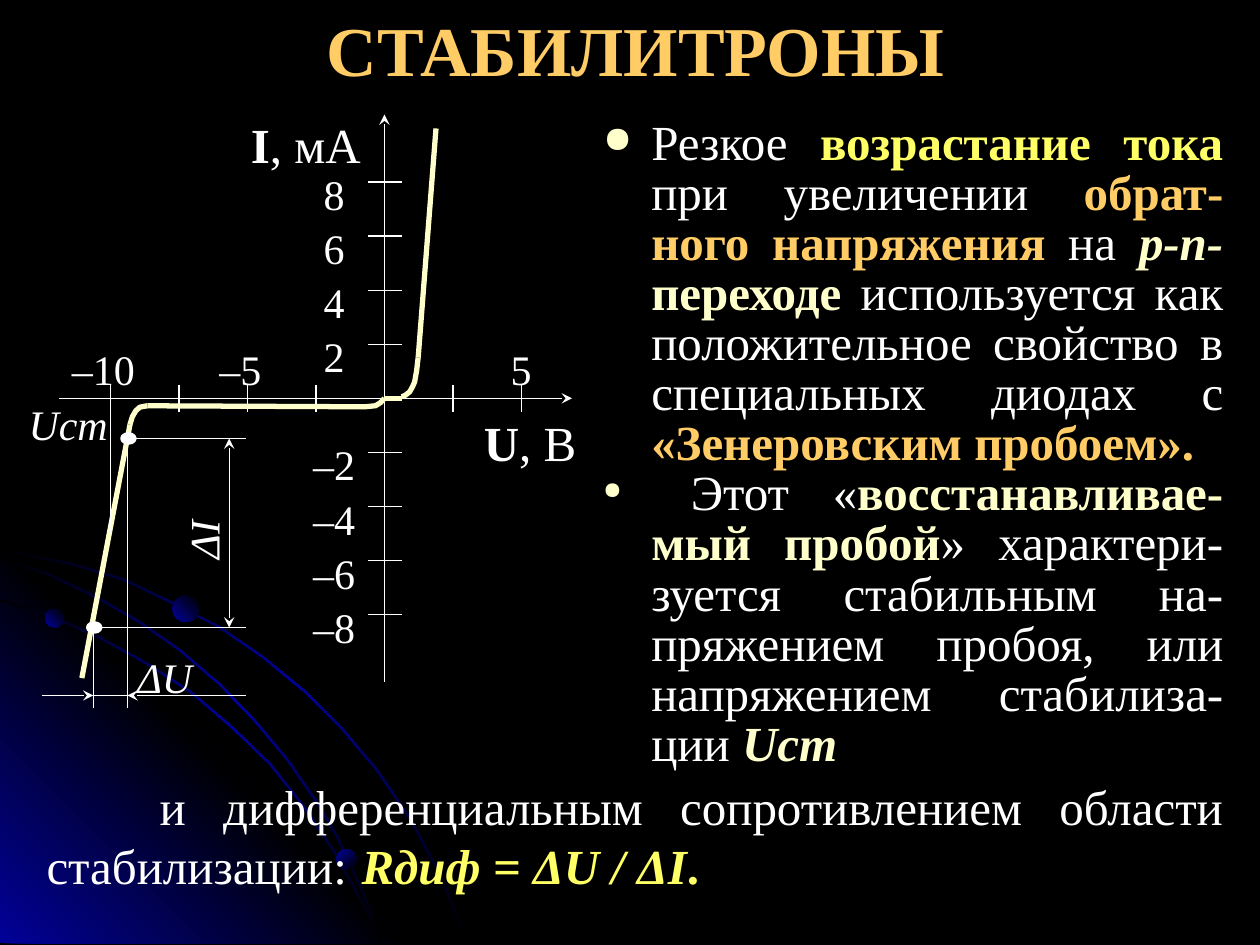
from copy import deepcopy
from dataclasses import dataclass

from lxml import etree
from pptx import Presentation
from pptx.dml.color import RGBColor
from pptx.enum.shapes import MSO_CONNECTOR, MSO_SHAPE
from pptx.enum.text import PP_ALIGN
from pptx.oxml.ns import qn
from pptx.util import Cm, Pt

STRAIGHT, OVAL = MSO_CONNECTOR.STRAIGHT, MSO_SHAPE.OVAL
LEFT, CENTER, JUSTIFY = PP_ALIGN.LEFT, PP_ALIGN.CENTER, PP_ALIGN.JUSTIFY


class Theme:
    font = "Times New Roman"
    black, blue, white = "000000", "010199", "FFFFFF"
    cream, yellow, orange = "FFFFCC", "FFFF66", "FFCC66"
    title, body, label, small = 40, 28, 24, 18
    thin, curve = 0.75, 3


@dataclass
class Box:
    left: float
    top: float
    width: float
    height: float

    def at(self, x, y):
        return Cm(self.left + x), Cm(self.top + y)

    def inner(self, x, y, width, height):
        return Box(self.left + x, self.top + y, width, height)


@dataclass
class Span:
    text: str
    color: str = Theme.white
    bold: bool = False
    italic: bool = False
    size: int = 0


def rgb(color):
    return RGBColor.from_string(color)


def text_frame(slide, box, inset=(0.25, 0.13)):
    corner = box.at(0, 0)
    frame = slide.shapes.add_textbox(*corner, Cm(box.width), Cm(box.height)).text_frame
    frame.word_wrap = True
    frame.margin_left = frame.margin_right = Cm(inset[0])
    frame.margin_top = frame.margin_bottom = Cm(inset[1])
    return frame


def write(paragraph, spans, size, align):
    paragraph.alignment = align
    paragraph.font.name = Theme.font
    paragraph.font.size = Pt(size)
    for span in spans:
        run = paragraph.add_run()
        run.text = span.text
        run.font.color.rgb = rgb(span.color)
        run.font.bold, run.font.italic = span.bold, span.italic
        if span.size:
            run.font.size = Pt(span.size)


def label(slide, box, *spans, size=Theme.label, align=CENTER):
    frame = text_frame(slide, box, inset=(0, 0))
    write(frame.paragraphs[0], spans, size, align)
    return frame


def line(slide, box, start, end, color=Theme.white, width=Theme.thin, arrows=()):
    """Straight line; arrows lists the ends ("headEnd", "tailEnd") with a stealth tip."""
    stroke = slide.shapes.add_connector(STRAIGHT, *box.at(*start), *box.at(*end))
    stroke.line.color.rgb = rgb(color)
    stroke.line.width = Pt(width)
    properties = stroke._element.spPr
    for tip in arrows:
        etree.SubElement(properties.find(qn("a:ln")), qn(f"a:{tip}"), type="stealth")
    etree.SubElement(properties, qn("a:effectLst"))


def outline(slide, box, points, close):
    start, *rest = [box.at(*point) for point in points]
    builder = slide.shapes.build_freeform(*start)
    builder.add_line_segments(rest, close=close)
    shape = builder.convert_to_shape()
    shape.shadow.inherit = False
    return shape


def shade(shape, colors, angle):
    """Linear gradient with evenly spaced colours; the angle runs clockwise."""
    shape.line.fill.background()
    shape.fill.gradient()
    shape.fill.gradient_angle = 360 - angle
    stop_list = shape._element.spPr.find(".//" + qn("a:gsLst"))
    while len(stop_list) < len(colors):
        stop_list.insert(1, deepcopy(stop_list[0]))
    for i, (stop, color) in enumerate(zip(shape.fill.gradient_stops, colors)):
        stop.position = i / (len(colors) - 1)
        stop.color.rgb = rgb(color)


def oval(slide, box):
    shape = slide.shapes.add_shape(OVAL, *box.at(0, 0), Cm(box.width), Cm(box.height))
    shape.shadow.inherit = False
    return shape


def ribbon(edge, thickness=0.05):
    """Closes an arc into a thin band that lies below its start and left of its end."""
    last = len(edge) - 1
    inner = [(x - thickness * i / last, y + thickness * (1 - i / last))
             for i, (x, y) in enumerate(edge)]
    return edge + inner[::-1]


def orbits(slide, box):
    upper = [(0, 0.2), (0.71, 0.35), (1.45, 0.5), (2.49, 0.81), (3.45, 1.27), (4.42, 1.77),
             (5.31, 2.38), (6.15, 3.07), (6.91, 3.83), (7.62, 4.67), (8.26, 5.61),
             (8.61, 6.24), (8.94, 6.88), (9.19, 7.51), (9.45, 8.17)]
    lower = [(0, 1.22), (1.04, 1.55), (2.01, 1.98), (2.97, 2.51), (3.86, 3.09), (4.67, 3.78),
             (5.46, 4.54), (6.15, 5.41), (6.76, 6.32), (7.26, 7.23), (7.52, 7.69), (7.7, 8.17)]
    middle = [(0, 0.38), (0.99, 0.71), (1.93, 1.16), (2.82, 1.67), (3.66, 2.26), (4.45, 2.94),
              (5.18, 3.7), (5.82, 4.47), (6.45, 5.38), (6.83, 6.04), (7.16, 6.75),
              (7.47, 7.44), (7.7, 8.17)]
    glow = [(8.18, box.height), (0, box.height), (0, 0)]
    band = (Theme.black, Theme.blue, Theme.black)
    corner = (Theme.blue, Theme.black, Theme.blue)
    for points, colors, angle in ((ribbon(upper), band, 225), (glow, corner, 135),
                                  (ribbon(lower), band, 225), (ribbon(middle), band, 225)):
        shade(outline(slide, box, points, True), colors, angle)
    for x, y, size, angle in ((0.91, 1.42, 0.38, 135), (6.78, 6.27, 0.41, 225),
                              (3.48, 1.16, 0.53, 135)):
        shade(oval(slide, box.inner(x, y, size, size)), band[:2], angle)


def axes(slide, plane):
    step_u, step_i, height = 1.38, 1.09, 0.82
    line(slide, plane, (0, 5.71), (0, -5.72), arrows=["tailEnd"])
    line(slide, plane, (-6.56, 0), (3.78, 0), arrows=["tailEnd"])
    for n in (4, 3, 2, 1, -1, -2, -3, -4):
        y = -n * step_i
        line(slide, plane, (-0.33, y), (0.35, y))
        value = f"{2 * n}".replace("-", "–")
        label(slide, plane.inner(-1.7, y - 0.27, 1.37, height), Span(value))
    for n in (-4, -3, -2, -1, 1, 2):
        line(slide, plane, (n * step_u, -0.27), (n * step_u, 0.27))
    for n, value, shift in ((-4, "–10", -0.14), (-2, "–5", -0.14), (2, "5", 0)):
        left = n * step_u + shift - 0.87
        label(slide, plane.inner(left, -1.1, 1.73, height), Span(value))
    for x, y, symbol, unit in ((-2.8, -5.72, "I", ", мА"), (1.72, 0.28, "U", ", В")):
        label(slide, plane.inner(x, y, 2.43, height),
              Span(symbol, bold=True), Span(unit), size=Theme.body)


def characteristic(slide, plane):
    knee_forward = [(0.35, -0.03), (0.42, -0.06), (0.51, -0.13), (0.57, -0.24),
                    (0.61, -0.33), (0.65, -0.56), (0.68, -0.82)]
    knee_zero = [(0, 0), (-0.08, 0.09), (-0.18, 0.15), (-0.38, 0.17), (-0.69, 0.17)]
    knee_breakdown = [(-4.78, 0.15), (-4.93, 0.18), (-5.01, 0.25), (-5.08, 0.37), (-5.13, 0.53)]
    for knee in (knee_forward, knee_zero, knee_breakdown):
        bend = outline(slide, plane, knee, False)
        bend.fill.background()
        bend.line.color.rgb = rgb(Theme.cream)
        bend.line.width = Pt(Theme.curve)
    for start, end in ((knee_forward[-1], (1.04, -5.44)), ((0, 0), (0.35, 0)),
                       (knee_zero[-1], knee_breakdown[0]), (knee_breakdown[-1], (-6.1, 5.64))):
        line(slide, plane, start, end, Theme.cream, Theme.curve)


def stabilization_marks(slide, plane):
    upper, lower = (-5.18, 0.81), (-5.87, 4.62)
    right, current_x, voltage_y = -2.8, -3.13, 5.99
    for x, y in (upper, lower):
        point = oval(slide, plane.inner(x - 0.12, y - 0.1, 0.28, 0.2))
        point.fill.solid()
        point.fill.fore_color.rgb = point.line.color.rgb = rgb(Theme.white)
        point.line.width = Pt(1.5)
        line(slide, plane, (x, y), (right, y))
        line(slide, plane, (x, y), (x, voltage_y + 0.25))
    line(slide, plane, (-5.52, 0), (-5.52, 2.71))
    line(slide, plane, (current_x, upper[1]), (current_x, lower[1]),
         arrows=["headEnd", "tailEnd"])
    for start, end, tips in ((-6.91, lower[0], ["tailEnd"]), (lower[0], upper[0], []),
                             (upper[0], right, ["headEnd"])):
        line(slide, plane, (start, voltage_y), (end, voltage_y), arrows=tips)
    label(slide, plane.inner(-7.24, 0, 1.73, 0.82), Span("Uст", italic=True))
    label(slide, plane.inner(-4.98, 5.1, 1.73, 0.82), Span("ΔU", italic=True), align=LEFT)
    current = label(slide, plane.inner(-4.17, 2.18, 1.04, 1.35), Span("ΔI", italic=True))
    current._txBody.bodyPr.set("vert", "vert270")


def volt_ampere_plot(slide, box):
    plane = box.inner(7.24, 5.72, box.width, box.height)
    axes(slide, plane)
    characteristic(slide, plane)
    stabilization_marks(slide, plane)


def add_bullet(paragraph):
    properties = paragraph._p.get_or_add_pPr()
    properties.set("marL", str(Cm(0.97)))
    properties.set("indent", str(-Cm(0.97)))
    color = etree.SubElement(properties, qn("a:buClr"))
    etree.SubElement(color, qn("a:srgbClr"), val=Theme.cream)
    etree.SubElement(properties, qn("a:buSzPct"), val="75000")
    etree.SubElement(properties, qn("a:buChar"), char="●")


def breakdown_notes(slide, box):
    items = [
        [Span("Резкое "), Span("возрастание тока", Theme.yellow, True),
         Span(" при увеличении "), Span("обрат-ного напряжения", Theme.orange, True),
         Span(" на "), Span("p-n-", Theme.cream, True, True), Span("переходе", Theme.cream, True),
         Span(" используется как положительное свойство в специальных диодах с "),
         Span("«Зенеровским пробоем».", Theme.orange, True)],
        [Span(" ", size=Theme.small), Span("Этот «"),
         Span("восстанавливае-мый пробой", Theme.cream, True),
         Span("» характери-зуется стабильным на-пряжением пробоя, "
              "или напряжением стабилиза-ции "),
         Span("Uст", Theme.cream, True, True)],
    ]
    frame = text_frame(slide, box)
    for i, spans in enumerate(items):
        paragraph = frame.add_paragraph() if i else frame.paragraphs[0]
        add_bullet(paragraph)
        paragraph.line_spacing = 0.85
        write(paragraph, spans, Theme.body, JUSTIFY)


def heading(slide, box):
    title = Span("СТАБИЛИТРОНЫ", Theme.orange, True)
    write(text_frame(slide, box).paragraphs[0], [title], Theme.title, CENTER)


def resistance_formula(slide, box):
    paragraph = text_frame(slide, box).paragraphs[0]
    properties = paragraph._p.get_or_add_pPr()
    properties.set("marL", "0")
    properties.set("indent", str(Cm(2.28)))
    stops = etree.SubElement(properties, qn("a:tabLst"))
    etree.SubElement(stops, qn("a:tab"), pos=str(Cm(7.04)), algn="l")
    write(paragraph, [Span("и дифференциальным сопротивлением области стабилизации:\t"),
                      Span("Rдиф = ΔU / ΔI", Theme.yellow, True, True),
                      Span(".", Theme.yellow, True)], Theme.body, JUSTIFY)


def main():
    deck = Presentation()
    deck.slide_width, deck.slide_height = Cm(25.4), Cm(19.05)
    slide = deck.slides.add_slide(deck.slide_layouts[6])
    slide.background.fill.solid()
    slide.background.fill.fore_color.rgb = rgb(Theme.black)
    orbits(slide, Box(0, 10.85, 9.45, 8.17))
    breakdown_notes(slide, Box(11.91, 2.31, 13, 13.41))
    volt_ampere_plot(slide, Box(0.51, 2.31, 11.38, 11.96))
    heading(slide, Box(2.11, 0, 21.41, 1.96))
    resistance_formula(slide, Box(0.69, 15.52, 24.21, 2.64))
    deck.save("out.pptx")


if __name__ == "__main__":
    main()
